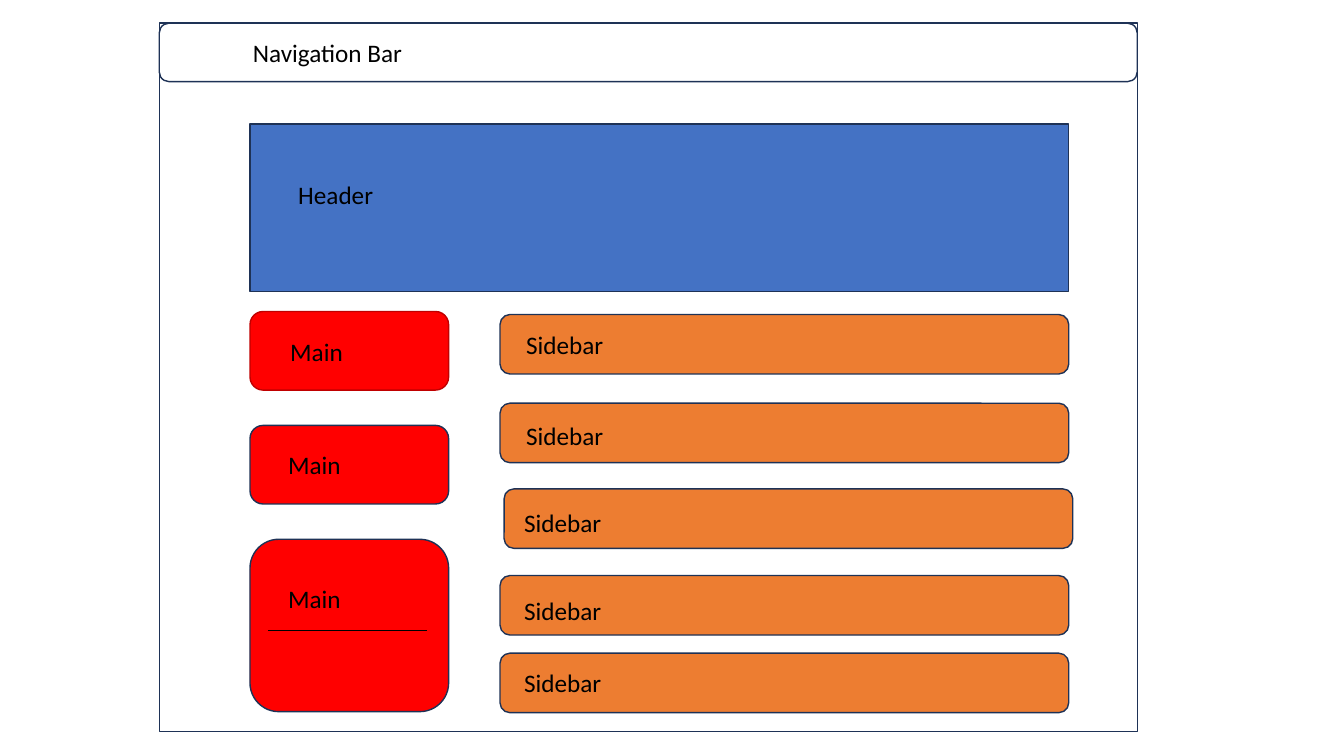
from lxml import etree
from pptx import Presentation
from pptx.dml.color import RGBColor
from pptx.enum.shapes import MSO_CONNECTOR, MSO_SHAPE
from pptx.enum.text import MSO_AUTO_SIZE
from pptx.oxml.ns import qn
from pptx.util import Inches, Pt

WHITE = RGBColor(0xFF, 0xFF, 0xFF)
BLACK = RGBColor(0x00, 0x00, 0x00)
NAVY = RGBColor(0x1E, 0x32, 0x56)
BLUE = RGBColor(0x44, 0x72, 0xC4)
RED = RGBColor(0xFF, 0x00, 0x00)
DARK_RED = RGBColor(0xC0, 0x00, 0x00)
ORANGE = RGBColor(0xED, 0x7D, 0x31)

LABEL_WIDTH = 1.73
LABEL_HEIGHT = 0.4


def add_box(slide, kind, left, top, width, height, fill=None, line=NAVY):
    shape = slide.shapes.add_shape(
        kind, Inches(left), Inches(top), Inches(width), Inches(height))
    shape.shadow.inherit = False
    if fill is None:
        shape.fill.background()
    else:
        shape.fill.solid()
        shape.fill.fore_color.rgb = fill
    shape.line.color.rgb = line
    shape.line.width = Pt(1)


def add_label(slide, text, left, top, width=LABEL_WIDTH):
    label = slide.shapes.add_textbox(
        Inches(left), Inches(top), Inches(width), Inches(LABEL_HEIGHT))
    label.text_frame.word_wrap = True
    label.text_frame.auto_size = MSO_AUTO_SIZE.SHAPE_TO_FIT_TEXT
    run = label.text_frame.paragraphs[0].add_run()
    run.text = text
    run.font.name = "Calibri"
    run.font.size = Pt(18)
    run.font.color.rgb = BLACK


def add_page_frame(slide, left, top, width, height):
    """Draw the page outline with the navigation bar along its top."""
    add_box(slide, MSO_SHAPE.RECTANGLE, left, top, width, height)
    add_box(slide, MSO_SHAPE.ROUNDED_RECTANGLE, left, top, width, 0.58)
    add_label(slide, "Navigation Bar", left + 0.83, top + 0.09, 1.97)


def add_header(slide, left, top, width, height):
    add_box(slide, MSO_SHAPE.RECTANGLE, left, top, width, height, BLUE)
    add_label(slide, "Header", left + 0.38, top + 0.5)


def add_main_column(slide, left, top, width):
    """Stack the main blocks, the last of them tall and ruled."""
    pitch = 1.13
    # height, outline, label offset from the block's corner
    blocks = [
        (0.78, DARK_RED, 0.3, 0.2),
        (0.78, NAVY, 0.28, 0.19),
        (1.71, NAVY, 0.28, 0.39),
    ]
    for index, (height, outline, label_x, label_y) in enumerate(blocks):
        block_top = top + index * pitch
        add_box(slide, MSO_SHAPE.ROUNDED_RECTANGLE,
                left, block_top, width, height, RED, outline)
        add_label(slide, "Main", left + label_x, block_top + label_y)

    rule_top = Inches(block_top + 0.9)
    rule = slide.shapes.add_connector(
        MSO_CONNECTOR.STRAIGHT, Inches(left + 0.18), rule_top,
        Inches(left + width - 0.21), rule_top)
    rule.line.color.rgb = BLACK
    rule.line.width = Pt(0.5)
    etree.SubElement(rule._element.spPr, qn("a:effectLst"))


def add_sidebar_column(slide, left, top, width):
    # bar offset from the column's corner, label offset likewise
    bars = [
        (0, 0, 0.16, 0.1),
        (0, 0.88, 0.16, 1),
        (0.04, 1.73, 0.14, 1.86),
        (0, 2.59, 0.14, 2.74),
        (0, 3.36, 0.14, 3.45),
    ]
    for bar_x, bar_y, label_x, label_y in bars:
        add_box(slide, MSO_SHAPE.ROUNDED_RECTANGLE,
                left + bar_x, top + bar_y, width, 0.59, ORANGE)
        add_label(slide, "Sidebar", left + label_x, top + label_y)


def main():
    presentation = Presentation()
    presentation.slide_width = Inches(13.33)
    presentation.slide_height = Inches(7.5)
    slide = presentation.slides.add_slide(presentation.slide_layouts[6])

    content_left = 2.48
    add_box(slide, MSO_SHAPE.RECTANGLE, content_left, 0.87, 7.9, 6.17,
            WHITE, WHITE)
    add_header(slide, content_left, 1.23, 8.12, 1.66)
    add_main_column(slide, content_left, 3.09, 1.97)
    add_sidebar_column(slide, content_left + 2.48, 3.12, 5.64)
    add_page_frame(slide, 1.58, 0.23, 9.7, 7.03)

    presentation.save("out.pptx")


if __name__ == "__main__":
    main()
